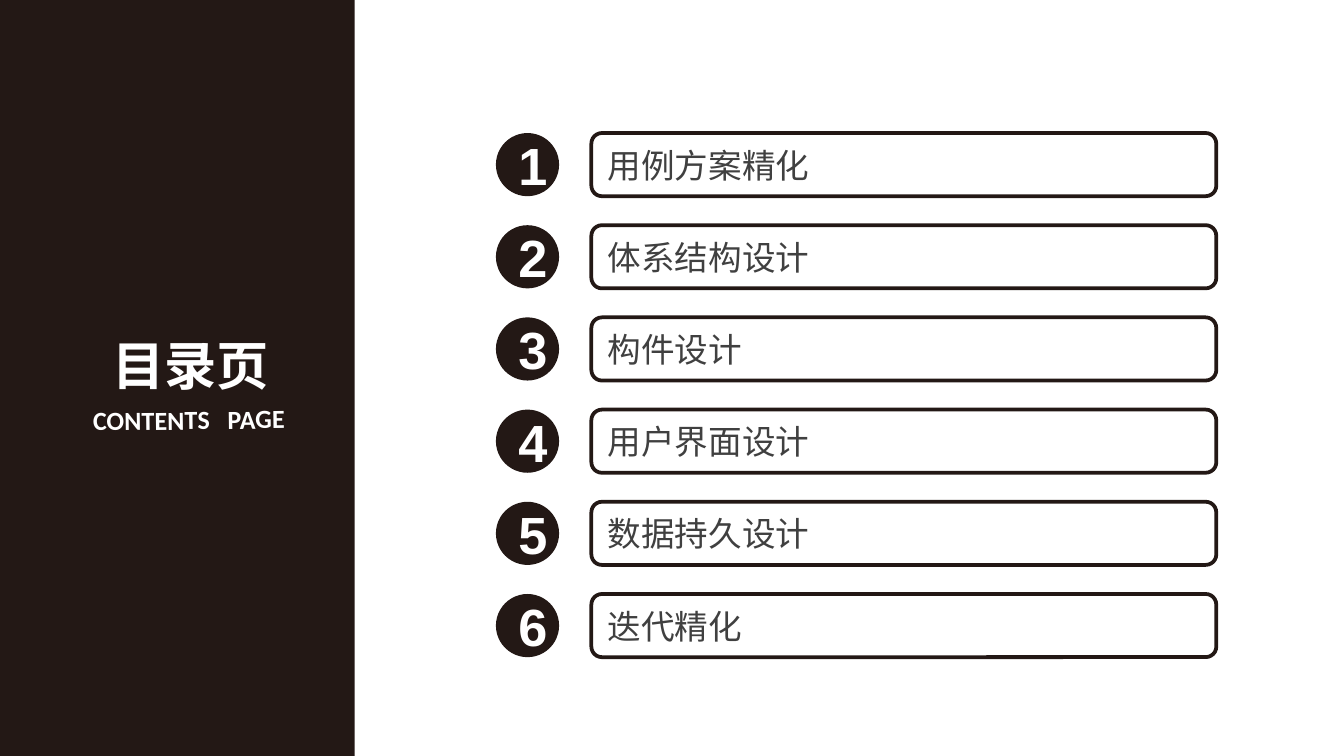
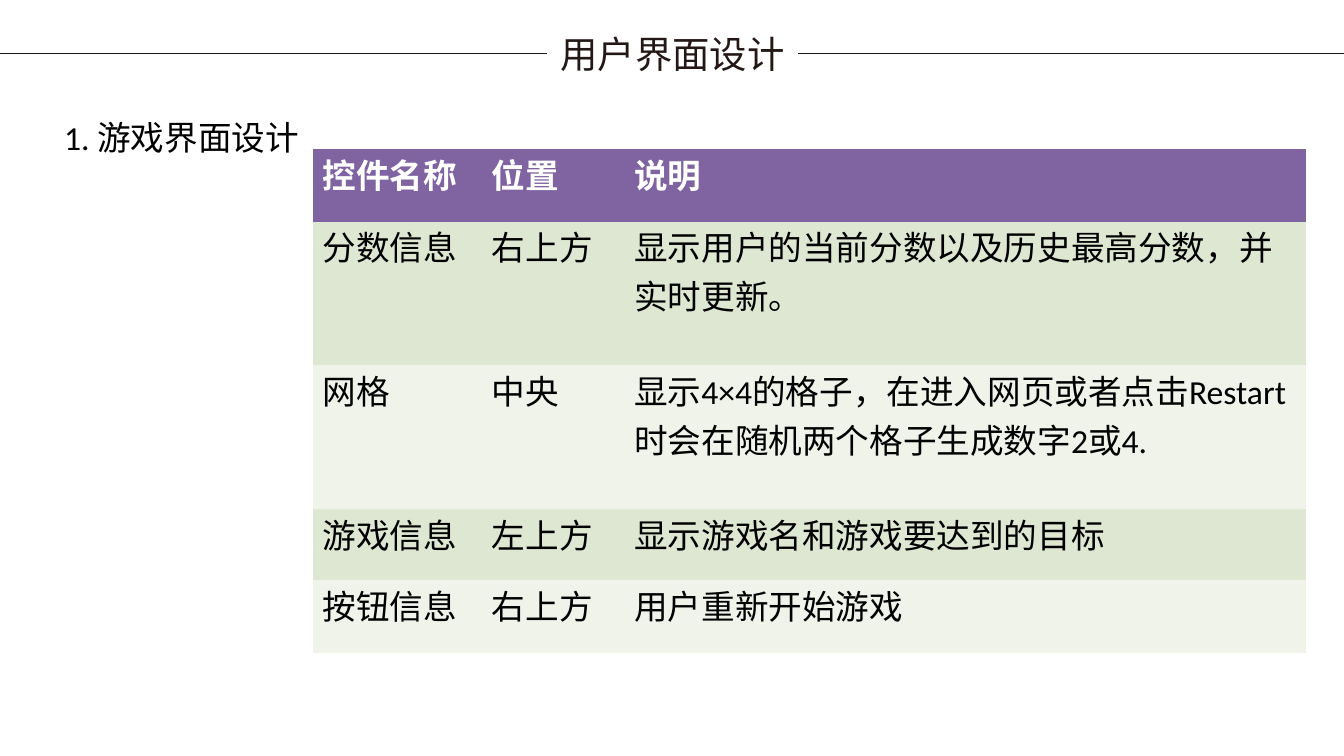
import dataclasses

import pptx
import pptx.dml.color
import pptx.enum.shapes
import pptx.enum.text
import pptx.oxml.ns
import pptx.util
from lxml import etree

Inches = pptx.util.Inches
SHAPES = pptx.enum.shapes.MSO_SHAPE
ALIGN = pptx.enum.text.PP_ALIGN
ANCHOR = pptx.enum.text.MSO_ANCHOR
AUTO_SIZE = pptx.enum.text.MSO_AUTO_SIZE


@dataclasses.dataclass(frozen=True)
class Theme:
    # Colours
    dark: str = "231815"
    white: str = "FFFFFF"
    grey: str = "404040"
    black: str = "000000"
    header: str = "8064A2"
    bands: tuple = ("DEE7D1", "EFF3EA")
    # Fonts
    latin: str = "Calibri"
    chinese: str = "Noto Sans CJK SC"
    digits: str = "Arial"
    # Type sizes in points
    large: int = 28
    title: int = 20
    body: int = 18
    small: int = 14


THEME = Theme()
SLIDE_WIDTH = Inches(10)
SLIDE_HEIGHT = SLIDE_WIDTH * 9 // 16
PLAIN_TABLE_STYLE = "{2D5ABB26-0587-4C30-8999-92F81FD0307C}"

CHAPTERS = ["用例方案精化", "体系结构设计", "构件设计", "用户界面设计", "数据持久设计", "迭代精化"]

CONTROLS = [
    ["控件名称", "位置", "说明"],
    ["分数信息", "右上方", "显示用户的当前分数以及历史最高分数，并实时更新。"],
    ["网格", "中央", "显示4×4的格子，在进入网页或者点击Restart时会在随机两个格子生成数字2或4."],
    ["游戏信息", "左上方", "显示游戏名和游戏要达到的目标"],
    ["按钮信息", "右上方", "用户重新开始游戏"],
]
COLUMN_WIDTHS = [1.26, 1.06, 5.07]
ROW_HEIGHTS = [0.54, 1.07, 1.07, 0.53, 0.54]


def rgb(color):
    return pptx.dml.color.RGBColor.from_string(color)


def set_attributes(target, values):
    for name, value in values.items():
        setattr(target, name, value)


def add_run(paragraph, words, color, size, font=THEME.latin, bold=False):
    run = paragraph.add_run()
    run.text = words
    set_attributes(run.font, {"name": font, "size": pptx.util.Pt(size), "bold": bold})
    run.font.color.rgb = rgb(color)
    east_asian = etree.SubElement(run.font._element, pptx.oxml.ns.qn("a:ea"))
    east_asian.set("typeface", THEME.chinese)
    return run


def write(frame, words, color, size, align=ALIGN.LEFT, **style):
    paragraph = frame.paragraphs[0]
    paragraph.alignment = align
    return add_run(paragraph, words, color, size, **style)


def add_block(slide, kind, box, fill=None, outline=None):
    block = slide.shapes.add_shape(kind, *map(Inches, box))
    block.shadow.inherit = False
    if fill:
        block.fill.solid()
        block.fill.fore_color.rgb = rgb(fill)
    else:
        block.fill.background()
    if outline:
        block.line.color.rgb = rgb(outline)
        block.line.width = pptx.util.Pt(2)
    else:
        block.line.fill.background()
    block.text_frame.vertical_anchor = ANCHOR.MIDDLE
    return block


def add_label(slide, box, **frame_format):
    label = slide.shapes.add_textbox(*map(Inches, box))
    set_attributes(label.text_frame, {"word_wrap": True, **frame_format})
    return label


def add_rule(slide, start, end):
    rule = slide.shapes.add_connector(
        pptx.enum.shapes.MSO_CONNECTOR.STRAIGHT, *map(Inches, start + end))
    rule.line.color.rgb = rgb(THEME.dark)
    rule.line.width = pptx.util.Pt(0.5)
    etree.SubElement(rule._element.spPr, pptx.oxml.ns.qn("a:effectLst"))
    return rule


def add_ruled_title(slide, words):
    """Centred title with a rule running to each slide edge."""
    title = add_label(slide, (4.07, 0.18, 1.87, 0.44), word_wrap=False,
                      auto_size=AUTO_SIZE.SHAPE_TO_FIT_TEXT)
    write(title.text_frame, words, THEME.dark, THEME.title, ALIGN.CENTER, font=THEME.chinese)
    add_rule(slide, (0, 0.4), (4.07, 0.4)).end_connect(title, 1)
    add_rule(slide, (5.94, 0.4), (10, 0.4)).begin_connect(title, 3)


def add_chapter(slide, number, words, top):
    badge = add_block(slide, SHAPES.OVAL, (3.69, top, 0.47, 0.47), fill=THEME.dark)
    write(badge.text_frame, str(number), THEME.white, THEME.large, ALIGN.CENTER,
          font=THEME.digits, bold=True)
    entry = add_block(slide, SHAPES.ROUNDED_RECTANGLE, (4.4, top, 4.65, 0.47),
                      outline=THEME.dark)
    write(entry.text_frame, words, THEME.grey, THEME.body)


def add_control_table(slide, left, top):
    size = (sum(COLUMN_WIDTHS), sum(ROW_HEIGHTS))
    table = slide.shapes.add_table(len(CONTROLS), len(COLUMN_WIDTHS),
                                   *map(Inches, (left, top) + size)).table
    # A style without borders
    table._tbl.tblPr.find(pptx.oxml.ns.qn("a:tableStyleId")).text = PLAIN_TABLE_STYLE
    for column, width in zip(table.columns, COLUMN_WIDTHS):
        column.width = Inches(width)
    margins = {"margin_left": Inches(0.07), "margin_right": Inches(0.07),
               "margin_top": 0, "margin_bottom": 0}
    for r, (row, height) in enumerate(zip(table.rows, ROW_HEIGHTS)):
        row.height = Inches(height)
        is_header = r == 0
        for cell, words in zip(row.cells, CONTROLS[r]):
            set_attributes(cell, margins)
            cell.fill.solid()
            cell.fill.fore_color.rgb = rgb(THEME.header if is_header else THEME.bands[(r - 1) % 2])
            write(cell.text_frame, words, THEME.white if is_header else THEME.black,
                  THEME.body, bold=is_header)


def build_contents(slide):
    # Side band with its two headings
    band = add_block(slide, SHAPES.RECTANGLE, (0, 0, 2.64, 5.62), fill=THEME.dark)
    band.height = SLIDE_HEIGHT
    heading = add_label(slide, (0.73, 2.43, 1.38, 0.57), word_wrap=False,
                        auto_size=AUTO_SIZE.SHAPE_TO_FIT_TEXT)
    write(heading.text_frame, "目录页", THEME.white, THEME.large, ALIGN.CENTER,
          font=THEME.chinese, bold=True)
    subheading = add_label(slide, (0.18, 2.92, 2.45, 0.4), vertical_anchor=ANCHOR.MIDDLE)
    subheading.rotation = -0.7
    write(subheading.text_frame, "CONTENTS", THEME.white, THEME.small, ALIGN.CENTER, bold=True)
    line = subheading.text_frame.paragraphs[0]
    gap = add_run(line, " ", THEME.white, THEME.small, bold=True)
    gap.font._element.set("spc", "630")  # widened word gap
    add_run(line, "PAGE", THEME.white, THEME.small, bold=True)

    # Numbered chapters, evenly spaced
    first, last = 0.99, 4.42
    step = (last - first) / (len(CHAPTERS) - 1)
    for i, words in enumerate(CHAPTERS):
        add_chapter(slide, i + 1, words, first + i * step)


def build_interface_design(slide):
    add_ruled_title(slide, "用户界面设计")
    section = add_label(slide, (0.38, 0.82, 5.56, 0.4), auto_size=AUTO_SIZE.SHAPE_TO_FIT_TEXT)
    write(section.text_frame, "1. 游戏界面设计", THEME.black, THEME.body)
    add_control_table(slide, 2.33, 1.11)


def main():
    deck = pptx.Presentation()
    set_attributes(deck, {"slide_width": SLIDE_WIDTH, "slide_height": SLIDE_HEIGHT})
    blank = deck.slide_layouts[6]
    for build in (build_contents, build_interface_design):
        build(deck.slides.add_slide(blank))
    deck.save("out.pptx")


if __name__ == "__main__":
    main()
